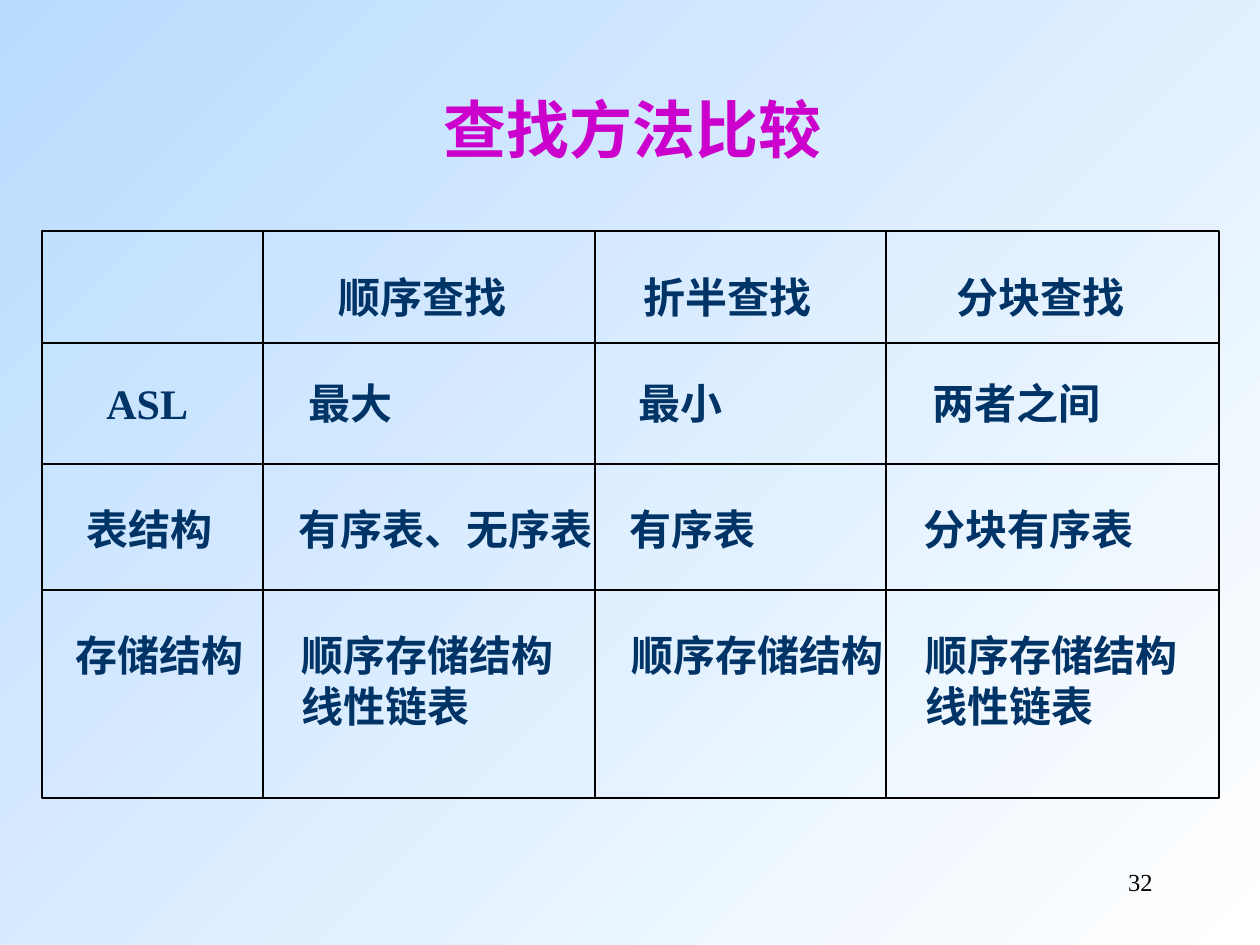
import pptx
import pptx.dml.color
import pptx.enum.shapes
import pptx.enum.text
import pptx.oxml.ns
import pptx.util
from lxml import etree

# Content: one list per grid row, one string per cell
TITLE = "查找方法比较"
PAGE_NUMBER = "32"
ROWS = [
    ["", "顺序查找", "折半查找", "分块查找"],
    ["ASL", "最大", "最小", "两者之间"],
    ["表结构", "有序表、无序表", "有序表", "分块有序表"],
    ["存储结构", "顺序存储结构\n线性链表", "顺序存储结构", "顺序存储结构\n线性链表"],
]

# Layout in px: grid edges, and the corner of each cell's text box
COLUMN_EDGES = [42, 263, 595, 886, 1219]
ROW_EDGES = [231, 343, 464, 590, 798]
BOX_LEFTS = [
    [29, 326, 631, 944],
    [94, 296, 626, 920],
    [74, 286, 617, 911],
    [63, 289, 619, 913],
]
BOX_TOPS = [265, 371, 497, 623]
CHARACTER_WIDTH, LINE_HEIGHT = 42, 50
ASL_WIDTH = 82
INSETS = (25, 13)
TITLE_BOX = (431, 84, 403, 88)
PAGE_BOX = (903, 861, 262, 63)

THEME = {
    "font": "Times New Roman",
    "title": ("CC00CC", 36, True),
    "cell": ("003366", 24, True),
    "page": ("000000", 14, False),
    "cell_spacing": 29,
    "border": "000000",
    "border_width": 0.75,
    "background": ("B9DCFF", "FFFFFF"),
}
ALIGN = pptx.enum.text.PP_ALIGN


def px(length):
    return pptx.util.Emu(round(length * 914400 / 126))


def rgb(color):
    return pptx.dml.color.RGBColor.from_string(color)


def add_text(slide, box, text, style, alignment=ALIGN.LEFT, wrap=False, spacing=None):
    color, size, bold = THEME[style]
    frame = slide.shapes.add_textbox(*map(px, box)).text_frame
    frame.word_wrap = wrap
    frame.text = text
    for paragraph in frame.paragraphs:
        paragraph.alignment = alignment
        if spacing:
            paragraph.line_spacing = pptx.util.Pt(spacing)
        paragraph.font.name = THEME["font"]
        paragraph.font.size = pptx.util.Pt(size)
        paragraph.font.bold = bold
        paragraph.font.color.rgb = rgb(color)


def add_cell_texts(slide):
    for texts, lefts, top in zip(ROWS, BOX_LEFTS, BOX_TOPS):
        for text, left in zip(texts, lefts):
            if not text:
                continue
            lines = text.split("\n")
            width = ASL_WIDTH if text.isascii() else len(lines[0]) * CHARACTER_WIDTH
            box = (left, top, width + INSETS[0], len(lines) * LINE_HEIGHT + INSETS[1])
            add_text(slide, box, text, "cell", spacing=THEME["cell_spacing"])


def style_line(line):
    line.color.rgb = rgb(THEME["border"])
    line.width = pptx.util.Pt(THEME["border_width"])


def add_rule(slide, *ends):
    rule = slide.shapes.add_connector(
        pptx.enum.shapes.MSO_CONNECTOR.STRAIGHT, *map(px, ends))
    style_line(rule.line)
    etree.SubElement(rule._element.spPr, pptx.oxml.ns.qn("a:effectLst"))


def add_grid(slide):
    left, *inner_columns, right = COLUMN_EDGES
    top, *inner_rows, bottom = ROW_EDGES
    frame = slide.shapes.add_shape(
        pptx.enum.shapes.MSO_SHAPE.RECTANGLE,
        *map(px, (left, top, right - left, bottom - top)))
    frame.shadow.inherit = False
    frame.fill.background()
    style_line(frame.line)
    for x in inner_columns:
        add_rule(slide, x, top, x, bottom)
    for y in inner_rows:
        add_rule(slide, left, y, right, y)


def main():
    presentation = pptx.Presentation()
    presentation.slide_width, presentation.slide_height = px(1260), px(945)
    slide = presentation.slides.add_slide(presentation.slide_layouts[6])

    # Background, from top left to bottom right
    fill = slide.background.fill
    fill.gradient()
    fill.gradient_angle = 315
    for position, (stop, color) in enumerate(zip(fill.gradient_stops, THEME["background"])):
        stop.position = position
        stop.color.rgb = rgb(color)

    # Page number, title, cell texts and ruled grid
    add_text(slide, PAGE_BOX, PAGE_NUMBER, "page", ALIGN.RIGHT, wrap=True)
    add_text(slide, TITLE_BOX, TITLE, "title")
    add_cell_texts(slide)
    add_grid(slide)

    presentation.save("out.pptx")


if __name__ == "__main__":
    main()
